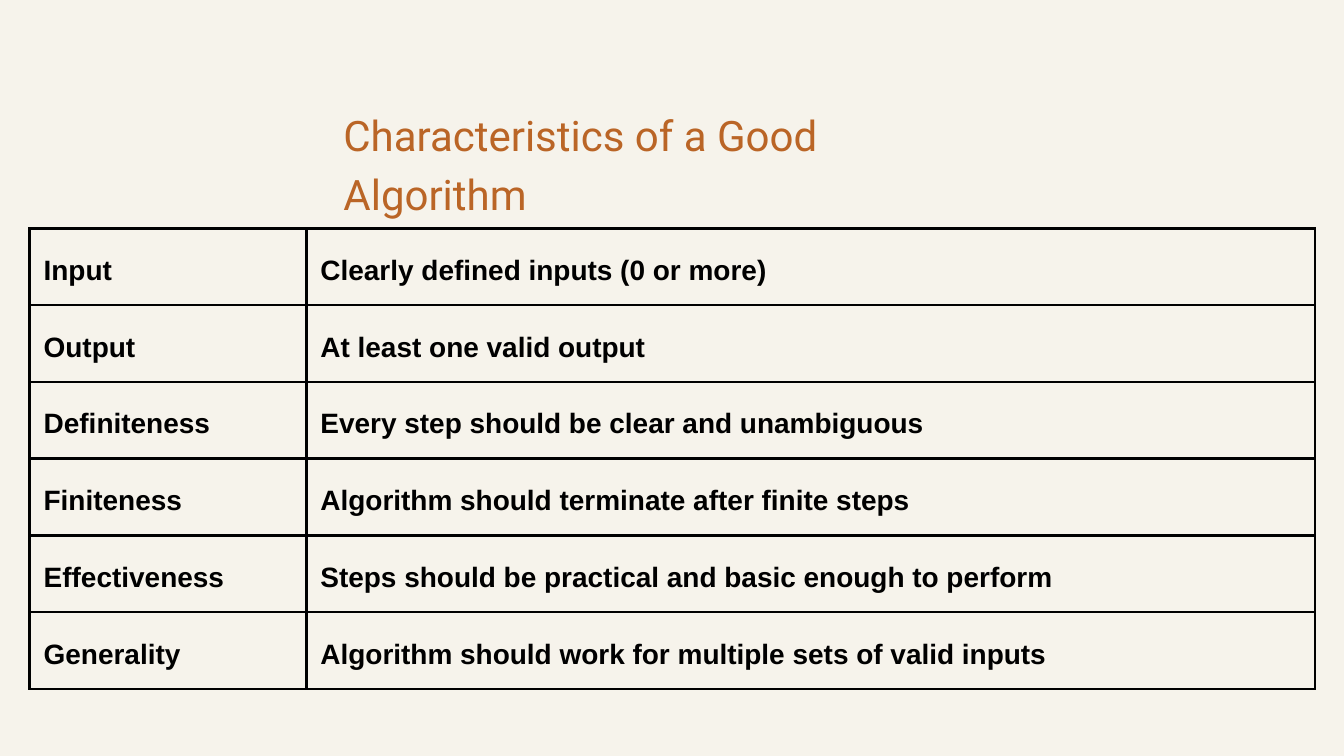
from lxml.etree import SubElement
from pptx import Presentation
from pptx.dml.color import RGBColor
from pptx.enum.text import MSO_ANCHOR, MSO_AUTO_SIZE, PP_ALIGN
from pptx.oxml.ns import qn
from pptx.util import Cm, Pt

COLORS = {"paper": "F6F3EB", "ink": "000000", "title": "BA6526"}

TRAITS = [
    ("Input", "Clearly defined inputs (0 or more)"),
    ("Output", "At least one valid output"),
    ("Definiteness", "Every step should be clear and unambiguous"),
    ("Finiteness", "Algorithm should terminate after finite steps"),
    ("Effectiveness", "Steps should be practical and basic enough to perform"),
    ("Generality", "Algorithm should work for multiple sets of valid inputs"),
]


class Deck:
    """Holds the style and the current slide."""

    def __init__(self, wide, high):
        self.show = Presentation()
        self.show.slide_width, self.show.slide_height = Cm(wide), Cm(high)
        self.slide = self.show.slides.add_slide(self.show.slide_layouts[5])
        fill = self.slide.background.fill
        fill.solid()
        fill.fore_color.rgb = RGBColor.from_string(COLORS["paper"])

    def style(self, para, font, size, color, bold=False):
        """Set the font, with line spacing at 1.4 times its size."""
        para.alignment = PP_ALIGN.LEFT
        para.line_spacing = Pt(size * 1.4)
        para.font.name = font
        para.font.size = Pt(size)
        para.font.bold = bold
        para.font.color.rgb = RGBColor.from_string(COLORS[color])

    def inset(self, box, gap):
        box.margin_left = box.margin_right = Cm(gap)
        box.margin_top = box.margin_bottom = Cm(gap)

    def title(self, text, left, top, wide, high):
        shape = self.slide.shapes.title
        shape.left, shape.top = Cm(left), Cm(top)
        shape.width, shape.height = Cm(wide), Cm(high)
        frame = shape.text_frame
        frame.text = text
        frame.word_wrap = True
        frame.auto_size = MSO_AUTO_SIZE.SHAPE_TO_FIT_TEXT
        frame.vertical_anchor = MSO_ANCHOR.TOP
        self.inset(frame, 0)
        self.style(frame.paragraphs[0], "Roboto", 45, "title")

    def border(self, cell, width):
        props = cell._tc.get_or_add_tcPr()
        for spot, side in enumerate(("a:lnL", "a:lnR", "a:lnT", "a:lnB")):
            line = SubElement(props, qn(side), w=str(Pt(width)))
            fill = SubElement(line, qn("a:solidFill"))
            SubElement(fill, qn("a:srgbClr"), val=COLORS["ink"])
            props.insert(spot, line)

    def table(self, rows, left, top, cols, high):
        """Draw a grid from column widths and one row height."""
        grid = self.slide.shapes.add_table(
            len(rows), len(cols), Cm(left), Cm(top),
            Cm(sum(cols)), Cm(high * len(rows))).table
        grid.first_row = grid.horz_banding = False
        for col, wide in zip(grid.columns, cols):
            col.width = Cm(wide)
        for row, texts in zip(grid.rows, rows):
            row.height = Cm(high)
            for cell, text in zip(row.cells, texts):
                cell.text = text
                cell.vertical_anchor = MSO_ANCHOR.MIDDLE
                self.inset(cell, 0.53)
                cell.fill.background()
                self.border(cell, 3)
                self.style(cell.text_frame.paragraphs[0], "Arial", 30, "ink", True)


def main():
    deck = Deck(50.8, 28.58)
    deck.title("Characteristics of a Good Algorithm", 12.98, 3.84, 24.84, 2.11)
    deck.table(TRAITS, left=1.12, top=8.64, cols=(10.46, 38.13), high=2.9)
    deck.show.save("out.pptx")


if __name__ == "__main__":
    main()
